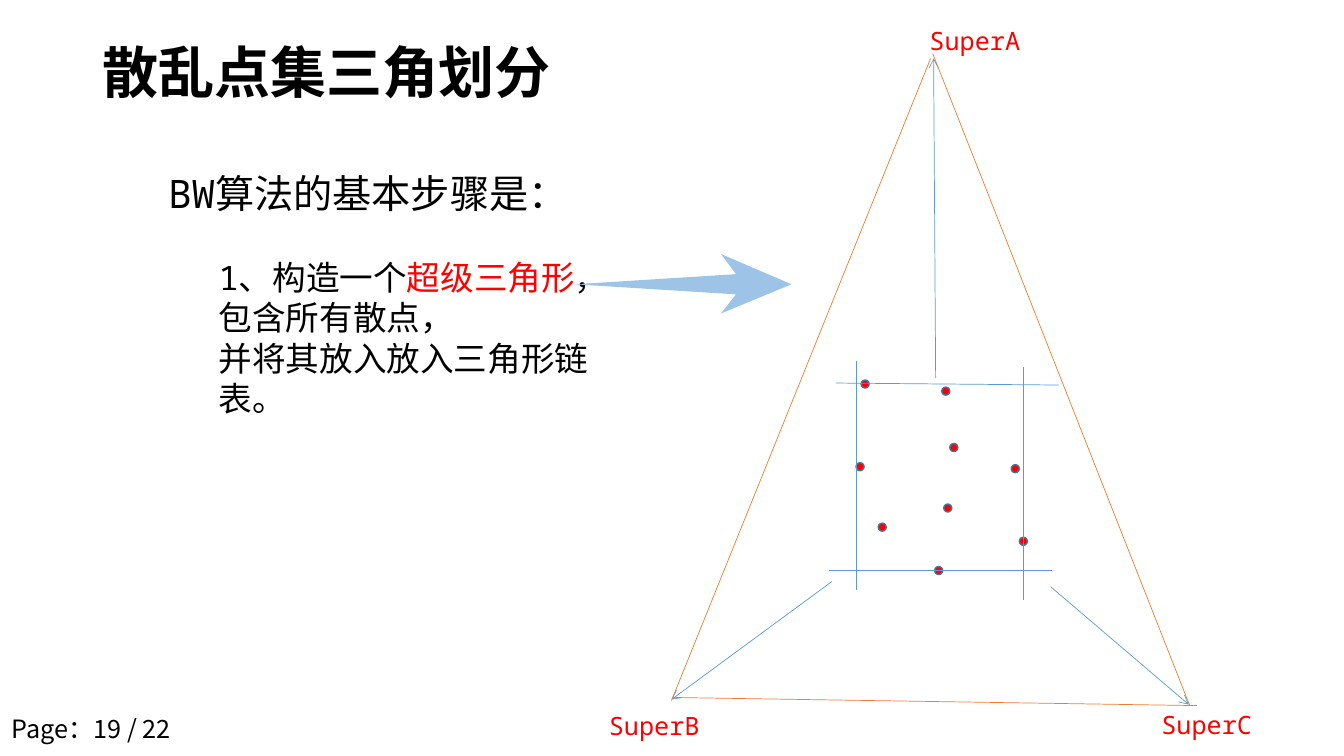
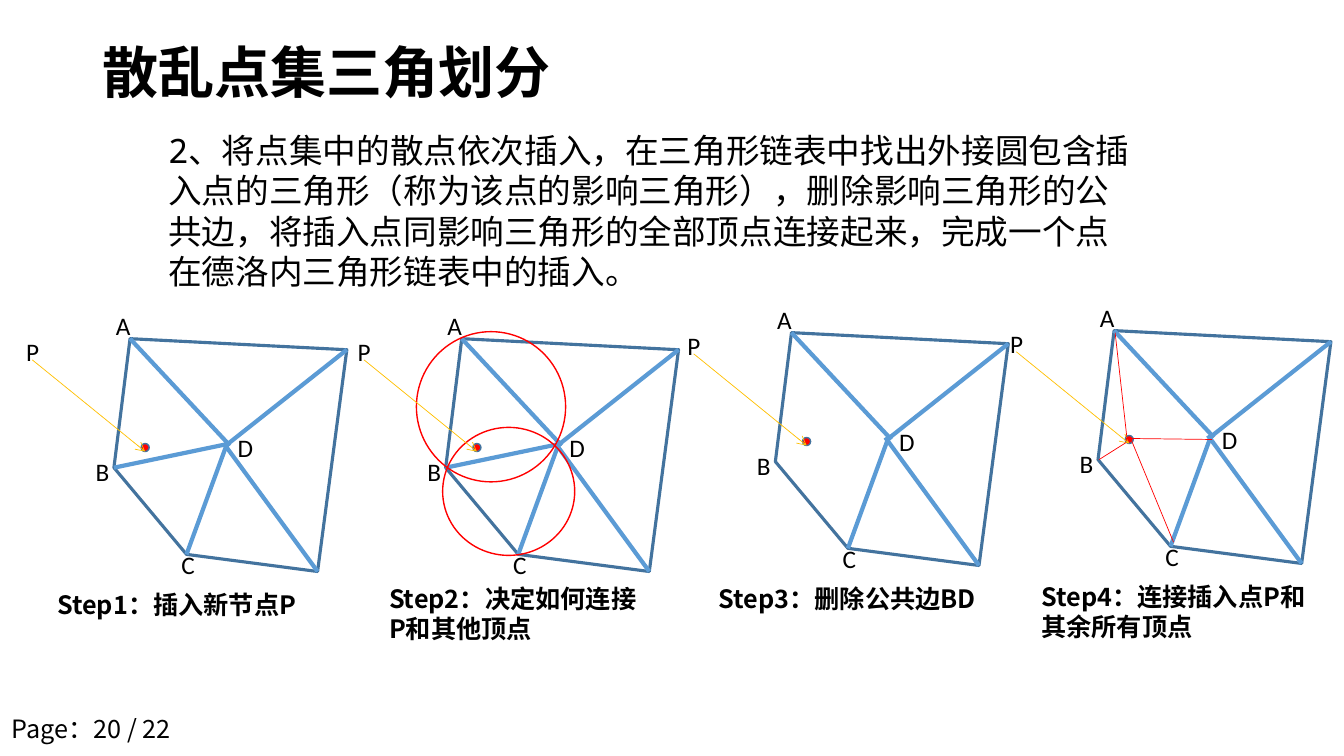
from dataclasses import dataclass
from itertools import pairwise

from lxml.etree import SubElement
from pptx import Presentation
from pptx.dml.color import RGBColor as RGB
from pptx.enum.shapes import MSO_CONNECTOR as Connector, MSO_SHAPE as Preset
from pptx.enum.text import MSO_ANCHOR as Anchor, MSO_AUTO_SIZE as AutoSize, PP_ALIGN as Align
from pptx.oxml.ns import qn
from pptx.util import Inches, Pt


@dataclass(frozen=True)
class Theme:
    black: str = "000000"
    red: str = "FF0000"
    blue: str = "5B9BD5"
    navy: str = "43739E"
    pale: str = "9DC3E6"
    orange: str = "ED7D31"
    gold: str = "FFC000"
    sans: str = "Noto Sans CJK SC"
    mono: str = "Noto Sans Mono"
    latin: str = "Calibri"
    title: int = 40
    heading: int = 28
    body: int = 24
    label: int = 18
    leading: float = 1.2
    thin: float = 0.5
    outline: float = 1
    hull: float = 2.25
    spoke: float = 3


class Deck:
    """Holds the presentation, its theme and the slide being drawn."""

    def __init__(self, theme):
        self.theme = theme
        self.file = Presentation()
        self.file.slide_width, self.file.slide_height = Inches(13.33), Inches(7.5)

    def new_slide(self, title, page):
        self.slide = self.file.slides.add_slide(self.file.slide_layouts[5])
        self.shapes = self.slide.shapes
        heading = self.shapes.title
        heading.left, heading.top = Inches(0.92), Inches(0.02)
        heading.width, heading.height = Inches(11.5), Inches(1.45)
        heading.text_frame.vertical_anchor = Anchor.MIDDLE
        paragraph = heading.text_frame.paragraphs[0]
        paragraph.alignment = Align.LEFT
        paragraph.line_spacing = 0.9
        self.run(paragraph, title, self.theme.title, self.theme.sans, bold=True)
        self.text(0.02, 7.03, 1.92, 0.4, f"Page：{page} / 22")

    def start_group(self):
        self.shapes = self.slide.shapes.add_group_shape().shapes

    def run(self, paragraph, words, size, font, color=None, bold=False):
        run = paragraph.add_run()
        run.text = words
        run.font.size, run.font.name, run.font.bold = Pt(size), font, bold
        run.font.color.rgb = RGB.from_string(color or self.theme.black)
        east = SubElement(run.font._element, qn("a:ea"))
        east.set("typeface", self.theme.sans)

    def frame(self, x, y, w, h):
        box = self.shapes.add_textbox(Inches(x), Inches(y), Inches(w), Inches(h))
        box.text_frame.word_wrap = True
        box.text_frame.auto_size = AutoSize.SHAPE_TO_FIT_TEXT
        return box.text_frame

    def paragraph(self, frame, runs, size, font, indent=0, before=0, bold=False):
        first = frame.paragraphs[0]
        paragraph = frame.add_paragraph() if first.runs else first
        paragraph.line_spacing = Pt(size * self.theme.leading)
        paragraph.space_before = Pt(before)
        if indent:
            paragraph.level = 1
            properties = paragraph._p.get_or_add_pPr()
            properties.set("marL", str(Inches(indent)))
            properties.set("indent", "0")
        for words, color in runs:
            self.run(paragraph, words, size, font, color, bold)

    def text(self, x, y, w, h, *lines, font=None, color=None, bold=False):
        frame = self.frame(x, y, w, h)
        for line in lines:
            self.paragraph(frame, [(line, color)], self.theme.label,
                           font or self.theme.sans, bold=bold)

    def paint(self, shape, fill=None, line=None, width=1):
        shape.shadow.inherit = False
        if fill:
            shape.fill.solid()
            shape.fill.fore_color.rgb = RGB.from_string(fill)
        else:
            shape.fill.background()
        if line:
            shape.line.color.rgb = RGB.from_string(line)
            shape.line.width = Pt(width)
        else:
            shape.line.fill.background()

    def ellipse(self, x, y, w, h, fill=None, line=None):
        oval = self.shapes.add_shape(Preset.OVAL, Inches(x), Inches(y), Inches(w), Inches(h))
        self.paint(oval, fill, line, self.theme.outline)

    def dot(self, x, y):
        self.ellipse(x, y, 0.08, 0.08, self.theme.red, self.theme.navy)

    def polygon(self, corners, **style):
        start, *rest = [(Inches(x), Inches(y)) for x, y in corners]
        builder = self.shapes.build_freeform(*start)
        builder.add_line_segments(rest, close=True)
        self.paint(builder.convert_to_shape(), **style)

    def line(self, start, end, color, width=None, arrow=False):
        ends = [Inches(value) for value in (*start, *end)]
        connector = self.shapes.add_connector(Connector.STRAIGHT, *ends)
        connector.line.color.rgb = RGB.from_string(color)
        connector.line.width = Pt(width or self.theme.thin)
        if arrow:
            SubElement(connector.line._get_or_add_ln(), qn("a:tailEnd")).set("type", "arrow")
        SubElement(connector._element.spPr, qn("a:effectLst"))


TITLE = "散乱点集三角划分"
SCATTER = [(8.54, 3.77), (9.34, 3.84), (9.42, 4.4), (9.36, 5), (10.03, 4.61),
           (10.11, 5.33), (9.27, 5.62), (8.71, 5.19), (8.49, 4.59)]
BOUNDS = [((8.29, 3.8), (10.5, 3.82)), ((10.15, 3.64), (10.15, 5.95)),
          ((8.49, 3.58), (8.49, 5.85)), ((8.22, 5.66), (10.43, 5.66))]
EXTENSIONS = [((9.28, 3.75), (9.26, 0.58)), ((8.25, 5.77), (6.66, 6.94)),
              ((10.42, 5.82), (11.79, 6.99))]
SUPER_EDGES = [((9.23, 0.58), (6.66, 6.95)), ((9.25, 0.53), (11.8, 7)),
               ((6.69, 6.92), (11.87, 7))]
SUPER_LABELS = {"SuperA": (9.12, 0.2), "SuperB": (5.94, 7), "SuperC": (11.42, 6.99)}
POINTER = [(7.15, 3.11), (7.85, 2.82), (7.15, 2.52), (7.3, 2.72), (5.7, 2.82), (7.3, 2.92)]

A, B, C, LOWER, UPPER = HULL = [(0.16, 0), (0, 1.28), (0.72, 2.14), (2.02, 2.31), (2.31, 0.11)]
SPOKES = [(A, (1.15, 1.06)), ((1.13, 1.02), C), ((1.09, 1.04), LOWER), ((1.11, 1.06), UPPER)]
SHARED_EDGE = (B, (1.15, 1.04))
CIRCLES = [(-0.29, -0.07, 1.48, 1.49), (-0.03, 0.88, 1.31, 1.27)]
NEW_EDGES = [((0.17, 0.02), (0.29, 1.09)), ((0.28, 1.07), (1.13, 1.08)),
             ((0.32, 1.06), (0.75, 2.1)), ((0.28, 1.11), (0.01, 1.28))]
VERTEX_LABELS = {"A": (-0.08, -0.33), "B": (-0.28, 1.12), "C": (0.57, 2.04),
                 "D": (1.13, 0.88), "P": (-0.97, -0.07)}


def super_triangle(deck):
    """Draws the slide on building the super triangle."""
    theme = deck.theme
    deck.new_slide(TITLE, 19)
    steps = deck.frame(1.57, 1.63, 4.39, 2.99)
    deck.paragraph(steps, [("BW算法的基本步骤是：", None)], theme.heading, theme.mono)
    deck.paragraph(steps, [("1、构造一个", None), ("超级三角形", theme.red), ("，", None)],
                   theme.body, theme.mono, indent=0.5, before=29)
    for words in ("包含所有散点，", "并将其放入放入三角形链表。"):
        deck.paragraph(steps, [(words, None)], theme.body, theme.mono, indent=0.5)
    deck.start_group()
    for point in SCATTER:
        deck.dot(*point)
    for edge in BOUNDS:
        deck.line(*edge, theme.blue)
    for edge in EXTENSIONS:
        deck.line(*edge, theme.blue, arrow=True)
    for edge in SUPER_EDGES:
        deck.line(*edge, theme.orange)
    for name, place in SUPER_LABELS.items():
        deck.text(*place, 1.25, 0.4, name, font=theme.mono, color=theme.red)
    deck.polygon(POINTER, fill=theme.pale)


def insertion_step(deck, x, y, caption, drop=2.44, width=2.84, shared=False, circles=(), links=()):
    """Draws one stage of inserting P, with its hull at x and y."""
    theme = deck.theme

    def place(point):
        return x + point[0], y + point[1]

    deck.start_group()
    deck.polygon([place(corner) for corner in HULL], line=theme.navy, width=theme.hull)
    for start, end in SPOKES + [SHARED_EDGE] * shared:
        deck.line(place(start), place(end), theme.blue, theme.spoke)
    for left, top, w, h in circles:
        deck.ellipse(*place((left, top)), w, h, line=theme.red)
    deck.dot(*place((0.27, 1.04)))
    for name, corner in VERTEX_LABELS.items():
        deck.text(*place(corner), 1.17, 0.4, name, font=theme.latin)
    deck.line(place((-0.81, 0.21)), place((0.31, 1.12)), theme.gold, arrow=True)
    deck.text(*place((-0.66, drop)), width, 0.4, *caption, bold=True)
    for start, end in links:
        deck.line(place(start), place(end), theme.red)


def point_insertion(deck):
    """Draws the slide on inserting points one by one."""
    deck.new_slide(TITLE, 20)
    rule = deck.frame(1.07, 1.24, 10.28, 1.72)
    deck.paragraph(rule, [(
        "2、将点集中的散点依次插入，在三角形链表中找出外接圆包含插入点的三角形"
        "（称为该点的影响三角形），删除影响三角形的公共边，将插入点同影响三角形的"
        "全部顶点连接起来，完成一个点在德洛内三角形链表中的插入。", None)],
        deck.theme.body, deck.theme.mono, indent=0.5)
    insertion_step(deck, 1.13, 3.36, ["Step1：插入新节点P"], shared=True)
    insertion_step(deck, 4.42, 3.36, ["Step2：决定如何连接", "P和其他顶点"],
                   drop=2.38, width=4.42, shared=True, circles=CIRCLES)
    insertion_step(deck, 7.69, 3.3, ["Step3：删除公共边BD"])
    insertion_step(deck, 10.89, 3.28, ["Step4：连接插入点P和其余所有顶点"], links=NEW_EDGES)


def main():
    """Builds both slides and saves them."""
    deck = Deck(Theme())
    super_triangle(deck)
    point_insertion(deck)
    deck.file.save("out.pptx")


if __name__ == "__main__":
    main()
